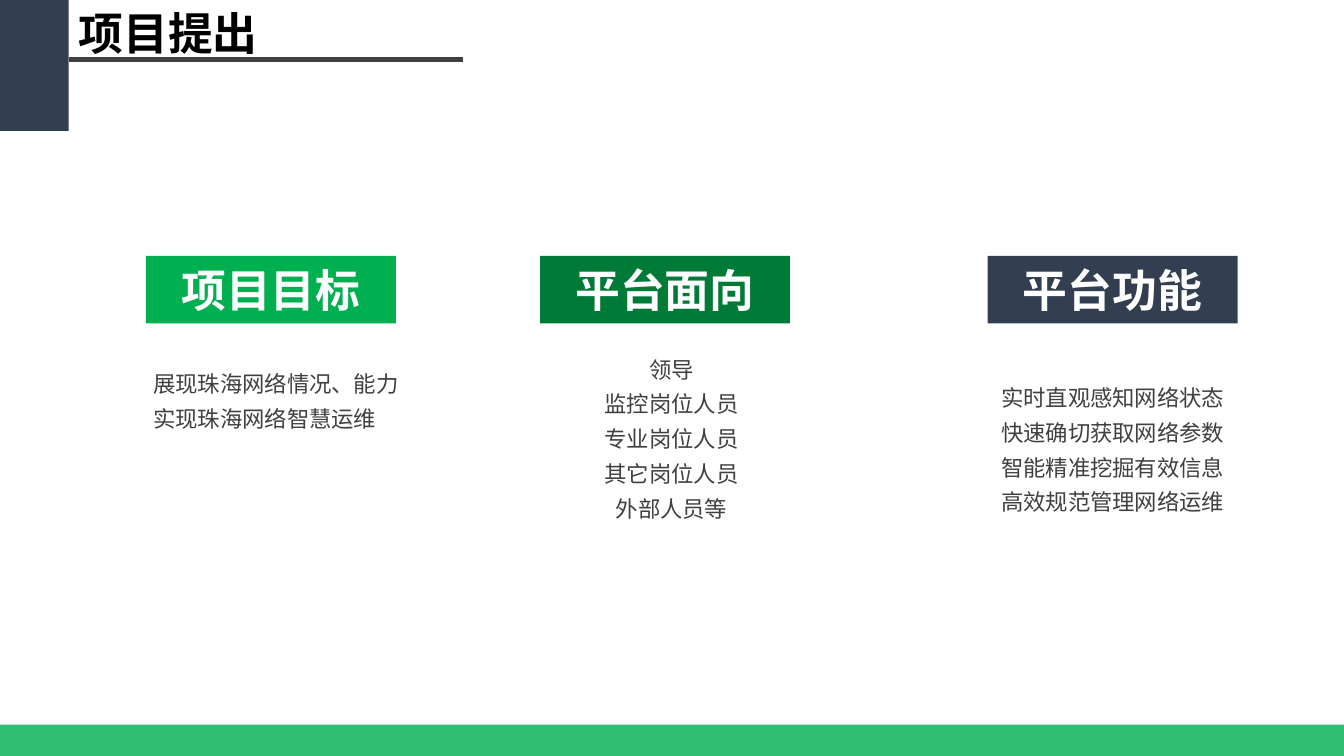
from lxml.etree import SubElement
from pptx import Presentation
from pptx.dml.color import RGBColor
from pptx.enum.shapes import MSO_CONNECTOR, MSO_SHAPE
from pptx.enum.text import MSO_ANCHOR, MSO_AUTO_SIZE, PP_ALIGN
from pptx.oxml.ns import qn
from pptx.util import Cm, Pt

THEME = {
    "navy": RGBColor.from_string("333F50"),
    "green": RGBColor.from_string("00B050"),
    "dark_green": RGBColor.from_string("007A37"),
    "gray": RGBColor.from_string("404040"),
    "black": RGBColor.from_string("000000"),
    "white": RGBColor.from_string("FFFFFF"),
    "heading_size": Pt(32),
    "body_size": Pt(16),
    "rule_width": Pt(3),
    "cjk_font": "Noto Sans CJK SC",
    "latin_font": "Calibri",
}


def write(sp, lines, size, color, font=THEME["cjk_font"], bold=False,
          align=PP_ALIGN.LEFT, anchor=MSO_ANCHOR.TOP, spacing=None,
          inset=None, grow=True):
    tf = sp.text_frame
    tf.word_wrap = True
    tf.vertical_anchor = anchor
    tf.auto_size = MSO_AUTO_SIZE.SHAPE_TO_FIT_TEXT if grow else MSO_AUTO_SIZE.NONE
    if inset:
        tf.margin_left = tf.margin_right = inset[0]
        tf.margin_top = tf.margin_bottom = inset[1]
    for i, line in enumerate(lines):
        p = tf.add_paragraph() if i else tf.paragraphs[0]
        p.alignment = align
        p.line_spacing = spacing
        r = p.add_run()
        r.text = line
        r.font.size = size
        r.font.bold = bold
        r.font.color.rgb = color
        r.font.name = font
        SubElement(r.font._element, qn("a:ea"), typeface=THEME["cjk_font"])


def add_block(s, left, top, width, height, color):
    sp = s.shapes.add_shape(MSO_SHAPE.RECTANGLE, left, top, width, height)
    sp.shadow.inherit = False
    sp.fill.solid()
    sp.fill.fore_color.rgb = color
    sp.line.fill.background()
    return sp


prs = Presentation()
prs.slide_width, prs.slide_height = Cm(33.87), Cm(19.05)
s = prs.slides.add_slide(prs.slide_layouts[6])

add_block(s, 0, 0, Cm(1.73), Cm(3.3), THEME["navy"])
rule = s.shapes.add_connector(MSO_CONNECTOR.STRAIGHT, Cm(1.73), Cm(1.5), Cm(11.68), Cm(1.5))
rule.line.color.rgb = THEME["gray"]
rule.line.width = THEME["rule_width"]
SubElement(rule._element.spPr, qn("a:effectLst"))

title = s.shapes.add_textbox(Cm(1.73), Cm(0.03), Cm(5.11), Cm(1.63))
write(title, ["项目提出"], THEME["heading_size"], THEME["black"], bold=True)

columns = [
    ("项目目标", 3.68, "green", (3.68, 9.02, 9.68, 1.88), PP_ALIGN.LEFT,
     ["展现珠海网络情况、能力", "实现珠海网络智慧运维"]),
    ("平台面向", 13.61, "dark_green", (13.84, 8.66, 6.17, 4.62), PP_ALIGN.CENTER,
     ["领导", "监控岗位人员", "专业岗位人员", "其它岗位人员", "外部人员等"]),
    ("平台功能", 24.89, "navy", (23.04, 9.37, 10.01, 3.73), PP_ALIGN.CENTER,
     ["实时直观感知网络状态", "快速确切获取网络参数",
      "智能精准挖掘有效信息", "高效规范管理网络运维"]),
]
for heading, left, color, box, align, lines in columns:
    tag = add_block(s, Cm(left), Cm(6.45), Cm(6.3), Cm(1.7), THEME[color])
    write(tag, [heading], THEME["heading_size"], THEME["white"],
          font=THEME["latin_font"], bold=True, align=PP_ALIGN.CENTER,
          anchor=MSO_ANCHOR.MIDDLE, grow=False)
    body = s.shapes.add_textbox(*map(Cm, box))
    write(body, lines, THEME["body_size"], THEME["gray"], align=align,
          spacing=1.3, inset=(Cm(0.18), Cm(0.1)))

footer = add_block(s, 0, Cm(18.26), prs.slide_width, Cm(0.79), THEME["green"])
footer_color = footer._element.spPr.find(qn("a:solidFill"))[0]
SubElement(footer_color, qn("a:alpha"), val="80000")

prs.save("out.pptx")
